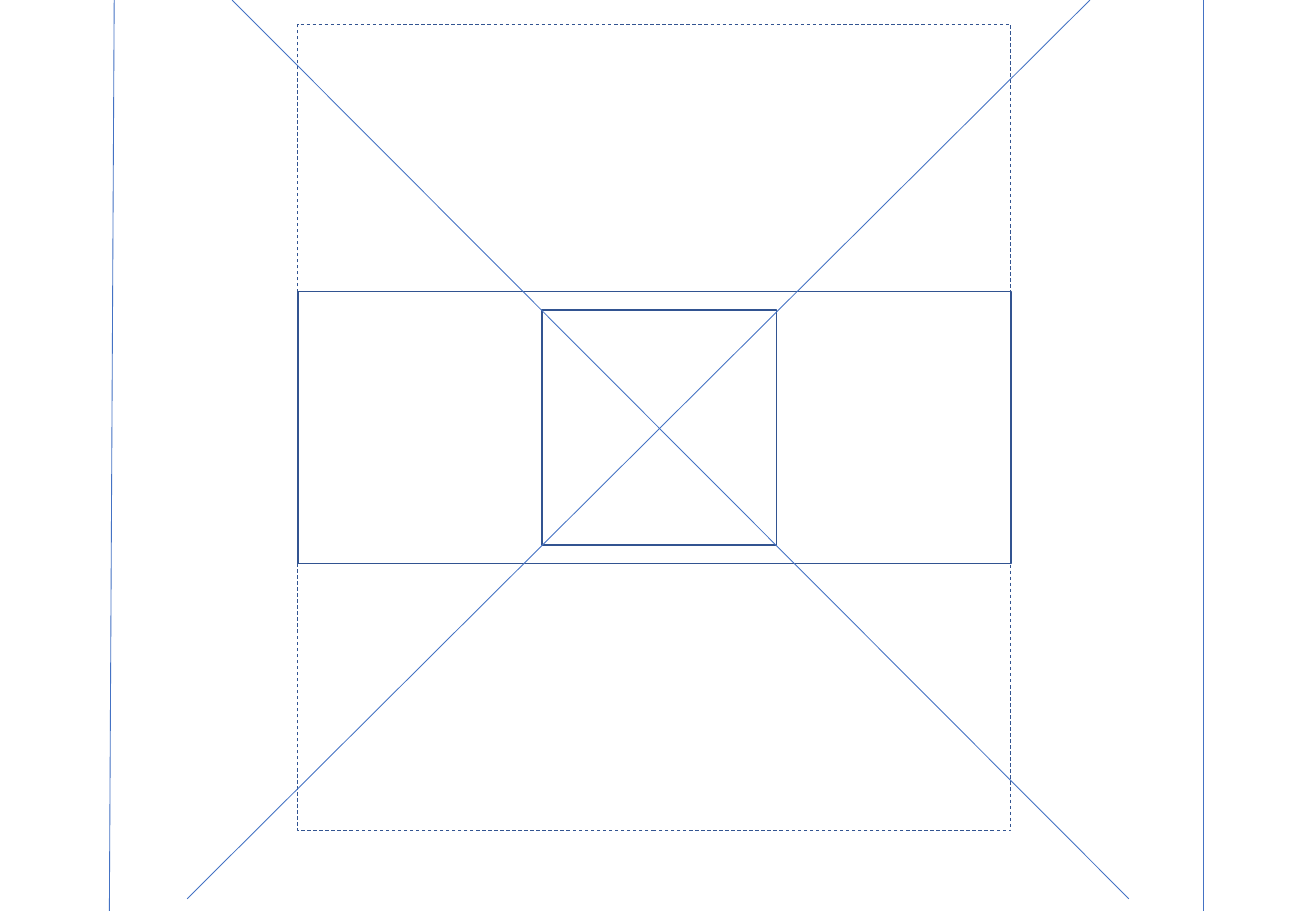
from dataclasses import dataclass

from lxml.etree import SubElement
from pptx import Presentation
from pptx.dml.color import RGBColor as Rgb
from pptx.dml.line import LineFormat
from pptx.enum.dml import MSO_LINE as Dash
from pptx.enum.shapes import MSO_CONNECTOR as Link, MSO_SHAPE as Kind
from pptx.oxml.ns import qn
from pptx.slide import Slide
from pptx.util import Pt


@dataclass(frozen=True)
class Theme:
    frame: Rgb = Rgb(0x32, 0x54, 0x91)
    guide: Rgb = Rgb(0x44, 0x72, 0xC4)
    thick: float = 1
    thin: float = 0.5


@dataclass(frozen=True)
class Box:
    left: float
    top: float
    width: float
    height: float
    dashed: bool = False


@dataclass(frozen=True)
class Guide:
    x1: float
    y1: float
    x2: float
    y2: float


THEME = Theme()
WIDTH, HEIGHT = 779.76, 540

# Middle band, with a dashed panel of equal size above and below
LEFT, TOP, SPAN = 176.4, 172.8, 422.64
BAND, PANEL = 161.28, 158.4
SIDE = 138.96
BOXES = [
    Box(LEFT, TOP, SPAN, BAND),
    Box(321.12, TOP + (BAND - SIDE) / 2, SIDE, SIDE),
    Box(LEFT, TOP + BAND, SPAN, PANEL, True),
    Box(LEFT, TOP - PANEL, SPAN, PANEL, True),
]

# Two diagonals through the square and two side lines
FOOT = 532.8
GUIDES = [
    Guide(645.84, 0, 110.88, FOOT),
    Guide(712.8, 0, 712.8, HEIGHT),
    Guide(64.8, HEIGHT, 67.68, 0),
    Guide(668.88, FOOT, 137.52, 0),
]


def style(line: LineFormat, color: Rgb, width: float) -> None:
    line.color.rgb = color
    line.width = Pt(width)


def draw_box(slide: Slide, box: Box) -> None:
    shape = slide.shapes.add_shape(
        Kind.RECTANGLE, Pt(box.left), Pt(box.top), Pt(box.width), Pt(box.height))
    shape.shadow.inherit = False
    shape.fill.background()
    style(shape.line, THEME.frame, THEME.thin if box.dashed else THEME.thick)
    if box.dashed:
        shape.line.dash_style = Dash.DASH


def draw_guide(slide: Slide, guide: Guide) -> None:
    line = slide.shapes.add_connector(
        Link.STRAIGHT, Pt(guide.x1), Pt(guide.y1), Pt(guide.x2), Pt(guide.y2))
    style(line.line, THEME.guide, THEME.thin)
    SubElement(line._element.spPr, qn("a:effectLst"))


def main() -> None:
    deck = Presentation()
    deck.slide_width, deck.slide_height = Pt(WIDTH), Pt(HEIGHT)
    slide = deck.slides.add_slide(deck.slide_layouts[6])
    for box in BOXES:
        draw_box(slide, box)
    for guide in GUIDES:
        draw_guide(slide, guide)
    deck.save("out.pptx")


if __name__ == "__main__":
    main()
